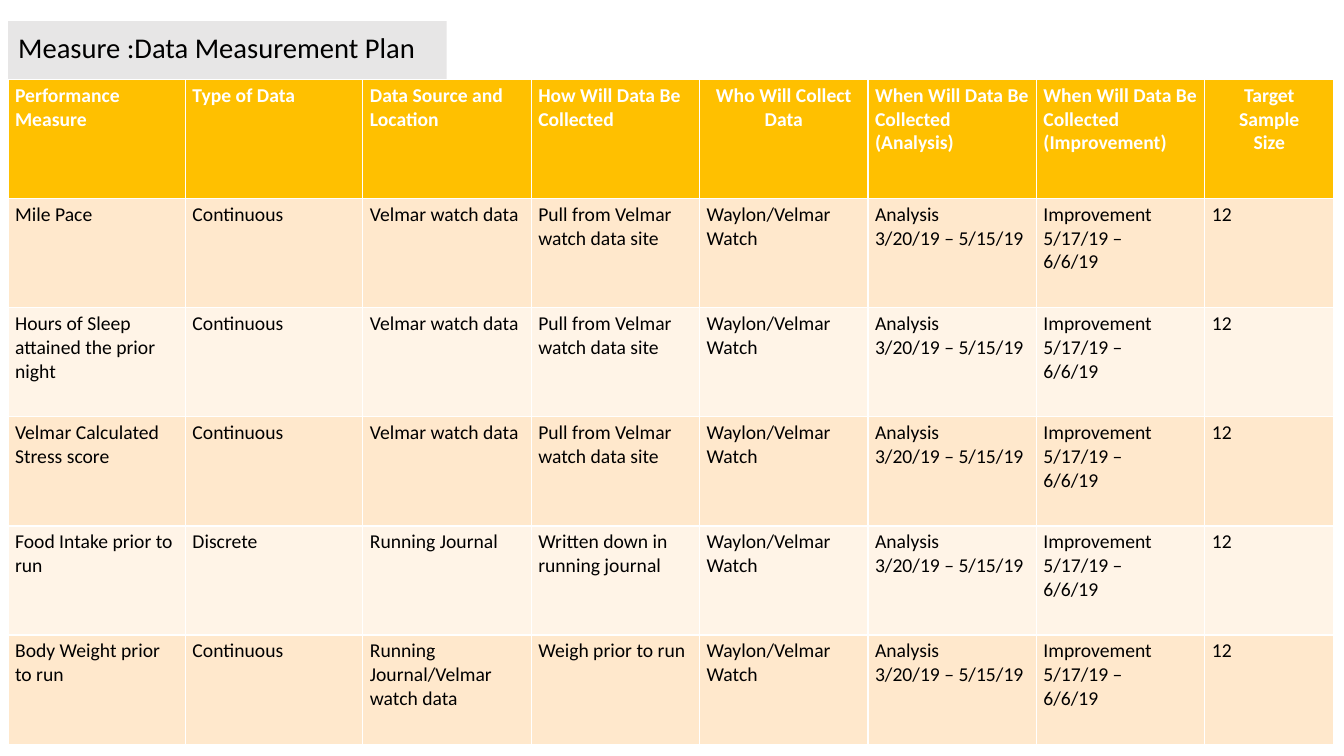
from dataclasses import dataclass

from pptx import Presentation
from pptx import util as u
from pptx.dml.color import RGBColor as Rgb
from pptx.enum import text as t


@dataclass(frozen=True)
class Theme:
    font: str = "Calibri"
    title: float = 20.4
    body: float = 14
    ink: str = "000000"
    white: str = "FFFFFF"
    gray: str = "E7E6E6"
    gold: str = "FFC000"
    bands: tuple[str, str] = ("FFE8CC", "FFF4E7")


@dataclass(frozen=True)
class Column:
    head: str
    share: float
    center: bool = False


@dataclass(frozen=True)
class Measure:
    name: str
    kind: str
    source: str
    method: str
    who: str = "Waylon/Velmar Watch"
    before: str = "Analysis\n3/20/19 – 5/15/19"
    after: str = "Improvement\n5/17/19 –\n6/6/19"
    sample: str = "12"

    def cells(self) -> list[str]:
        return [self.name, self.kind, self.source, self.method,
                self.who, self.before, self.after, self.sample]


THEME = Theme()
WIDTH, HEIGHT = 13.33, 7.5
LEFT = 0.6
TITLE_TOP, TITLE_WIDTH, TITLE_HEIGHT = 2.8, 32.63, 7.73
HEAD_ROW, DATA_ROW = 15.73, 14.44
WATCH = ("Velmar watch data", "Pull from Velmar watch data site")

COLUMNS = [
    Column("Performance Measure", 13.2),
    Column("Type of Data", 13.2),
    Column("Data Source and Location", 12.53),
    Column("How Will Data Be Collected", 12.53),
    Column("Who Will Collect\nData", 12.53, True),
    Column("When Will Data Be Collected\n(Analysis)", 12.53),
    Column("When Will Data Be Collected\n(Improvement)", 12.53),
    Column("Target\nSample\nSize", 9.6, True),
]

MEASURES = [
    Measure("Mile Pace", "Continuous", *WATCH),
    Measure("Hours of Sleep attained the prior night", "Continuous", *WATCH),
    Measure("Velmar Calculated Stress score", "Continuous", *WATCH),
    Measure("Food Intake prior to run", "Discrete",
            "Running Journal", "Written down in running journal"),
    Measure("Body Weight prior to run", "Continuous",
            "Running Journal/Velmar watch data", "Weigh prior to run"),
]


def across(share: float) -> int:
    return u.Inches(WIDTH * share / 100)


def down(share: float) -> int:
    return u.Inches(HEIGHT * share / 100)


def paint(item, color: str) -> None:
    item.fill.solid()
    item.fill.fore_color.rgb = Rgb.from_string(color)


def style(para, size: float, color: str, bold: bool = False,
          center: bool = False) -> None:
    para.font.name = THEME.font
    para.font.size = u.Pt(size)
    para.font.bold = bold
    para.font.color.rgb = Rgb.from_string(color)
    para.alignment = t.PP_ALIGN.CENTER if center else t.PP_ALIGN.LEFT


def draw_title(title) -> None:
    title.left, title.top = across(LEFT), down(TITLE_TOP)
    title.width, title.height = across(TITLE_WIDTH), down(TITLE_HEIGHT)
    paint(title, THEME.gray)
    frame = title.text_frame
    frame.text = "Measure :Data Measurement Plan"
    frame.auto_size = t.MSO_AUTO_SIZE.NONE
    frame.word_wrap = True
    frame.vertical_anchor = t.MSO_ANCHOR.MIDDLE
    para = frame.paragraphs[0]
    style(para, THEME.title, THEME.ink)
    para.line_spacing = 0.8
    para.space_after = u.Pt(6)


def fill_cell(cell, words: str, back: str, color: str, bold: bool,
              center: bool) -> None:
    paint(cell, back)
    cell.margin_left = cell.margin_right = u.Inches(0.07)
    cell.margin_top = cell.margin_bottom = u.Inches(0.04)
    cell.text = words
    for para in cell.text_frame.paragraphs:
        style(para, THEME.body, color, bold, center)


def draw_plan(slide) -> None:
    rows = [[col.head for col in COLUMNS]] + [m.cells() for m in MEASURES]
    heights = [HEAD_ROW] + [DATA_ROW] * len(MEASURES)
    grid = slide.shapes.add_table(
        len(rows), len(COLUMNS), across(LEFT), down(TITLE_TOP + TITLE_HEIGHT),
        across(sum(col.share for col in COLUMNS)), down(sum(heights))).table
    for slot, col in zip(grid.columns, COLUMNS):
        slot.width = across(col.share)
    for r, (row, high) in enumerate(zip(rows, heights)):
        head = r == 0
        grid.rows[r].height = down(high)
        back = THEME.gold if head else THEME.bands[(r - 1) % 2]
        color = THEME.white if head else THEME.ink
        for c, (col, words) in enumerate(zip(COLUMNS, row)):
            fill_cell(grid.cell(r, c), words, back, color, head,
                      head and col.center)


def main() -> None:
    deck = Presentation()
    deck.slide_width, deck.slide_height = across(100), down(100)
    slide = deck.slides.add_slide(deck.slide_layouts[5])
    draw_title(slide.shapes.title)
    draw_plan(slide)
    deck.save("out.pptx")


if __name__ == "__main__":
    main()
